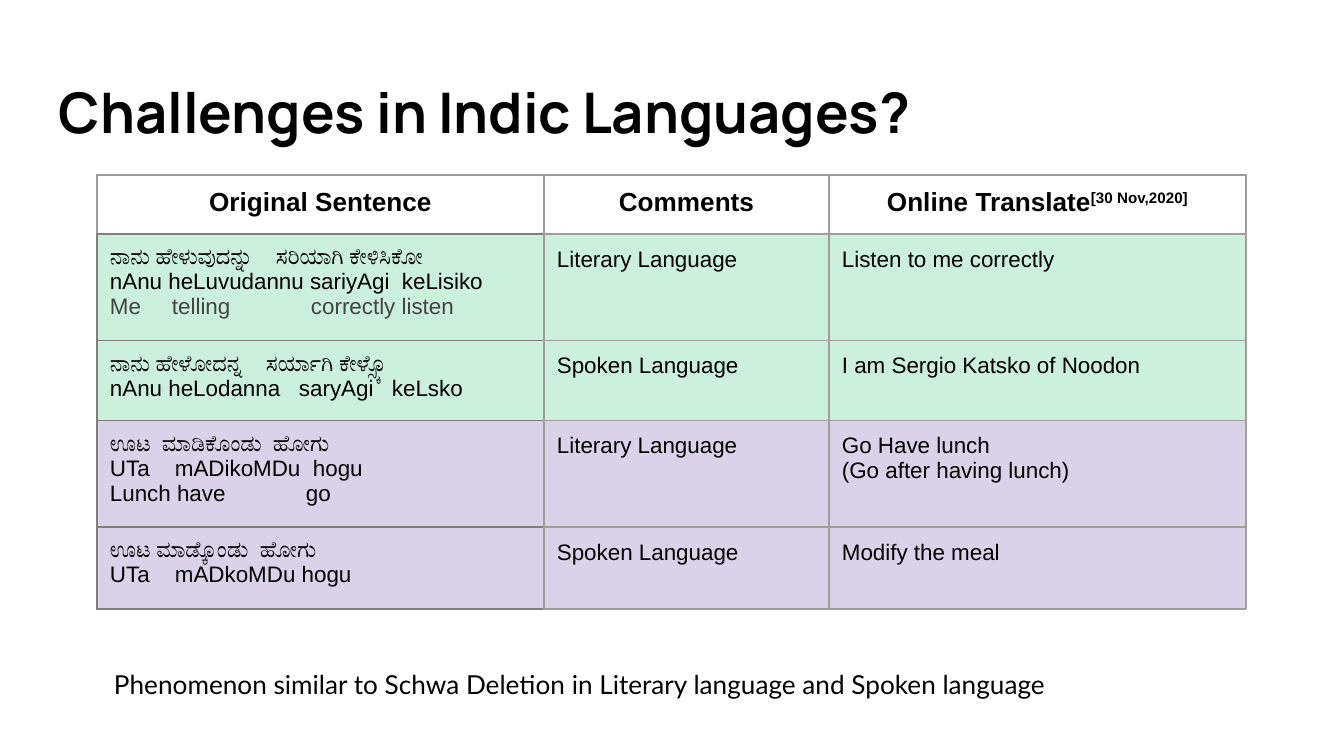
from pptx import Presentation
from pptx.dml.color import RGBColor as RGB
from pptx.enum.text import MSO_ANCHOR as ANCHOR, PP_ALIGN as ALIGN
from pptx.oxml.ns import qn
from pptx.util import Pt
from lxml.etree import SubElement

PX = 914400 / 134.4
COLORS = {"text": "000000", "gloss": "434343", "edge": "9E9E9E", "dark_edge": "7F7F7F",
          "green": "CBF0DE", "purple": "D9D2E9"}
TITLE = "Challenges in Indic Languages?"
FOOTNOTE = "Phenomenon similar to Schwa Deletion in Literary language and Spoken language"
HEADERS = [("Original Sentence", ""), ("Comments", ""), ("Online Translate", "[30 Nov,2020]")]
ROWS = [
    ("green", [("ನಾನು ಹೇಳುವುದನ್ನು\tಸರಿಯಾಗಿ ಕೇಳಿಸಿಕೋ", [166]),
               ("nAnu heLuvudannu sariyAgi\tkeLisiko", [292]),
               ("Me\ttelling\tcorrectly listen", [62, 201], "gloss")],
     "Literary Language", ["Listen to me correctly"]),
    ("green", [("ನಾನು ಹೇಳೋದನ್ನ\tಸರ್ಯಾಗಿ ಕೇಳ್ಸ್ಕೊ", [156]),
               ("nAnu heLodanna\tsaryAgi\tkeLsko", [189, 282])],
     "Spoken Language", ["I am Sergio Katsko of Noodon"]),
    ("purple", [("ಊಟ\tಮಾಡಿಕೊಂಡು\tಹೋಗು", [52, 163]),
                ("UTa\tmADikoMDu\thogu", [65, 203]),
                ("Lunch have\tgo", [196])],
     "Literary Language", ["Go Have lunch", "(Go after having lunch)"]),
    ("purple", [("ಊಟ ಮಾಡ್ಕೊಂಡು\tಹೋಗು", [150]),
                ("UTa\tmADkoMDu hogu", [65])],
     "Spoken Language", ["Modify the meal"]),
]
COL_WIDTHS = [447, 285, 417]
ROW_HEIGHTS = [59, 99, 77, 99, 82]
TABLE_LEFT, TABLE_TOP = 97, 175
MARGIN = 13
TITLE_FORMAT = {"name": "Manrope", "size": Pt(30), "bold": True}
NOTE_FORMAT = {"name": "Lato", "size": Pt(14), "bold": False}
HEADER_FORMAT = {"name": "Arial", "size": Pt(14), "bold": True}
BODY_FORMAT = {"name": "Arial", "size": Pt(12), "bold": False}


def px(n):
    return round(n * PX)


def add_run(p, text, fmt, color="text"):
    r = p.add_run()
    r.text = text
    for name, value in fmt.items():
        setattr(r.font, name, value)
    r.font.color.rgb = RGB.from_string(COLORS[color])
    return r


def set_margins(box):
    for side in ("left", "right", "top", "bottom"):
        setattr(box, f"margin_{side}", px(MARGIN))


def add_text(s, text, box, fmt, anchor):
    tf = s.shapes.add_textbox(*map(px, box)).text_frame
    tf.word_wrap = True
    tf.vertical_anchor = anchor
    set_margins(tf)
    add_run(tf.paragraphs[0], text, fmt)


def style_cell(cell, edge, fill=None):
    set_margins(cell)
    tcPr = cell._tc.get_or_add_tcPr()
    for tag in ("a:lnL", "a:lnR", "a:lnT", "a:lnB"):
        ln = SubElement(tcPr, qn(tag), w=str(Pt(0.75)))
        SubElement(SubElement(ln, qn("a:solidFill")), qn("a:srgbClr"), val=COLORS[edge])
    if fill:
        cell.fill.solid()
        cell.fill.fore_color.rgb = RGB.from_string(COLORS[fill])
    else:
        cell.fill.background()


def write_lines(tf, lines):
    for i, (text, stops, *color) in enumerate(lines):
        p = tf.add_paragraph() if i else tf.paragraphs[0]
        if stops:
            tabs = SubElement(p._p.get_or_add_pPr(), qn("a:tabLst"))
            for stop in stops:
                SubElement(tabs, qn("a:tab"), pos=str(px(stop)), algn="l")
        add_run(p, text, BODY_FORMAT, *color)


def add_sentence_table(s):
    frame = s.shapes.add_table(len(ROW_HEIGHTS), len(COL_WIDTHS), px(TABLE_LEFT), px(TABLE_TOP),
                               px(sum(COL_WIDTHS)), px(sum(ROW_HEIGHTS)))
    table = frame.table
    table.first_row = table.horz_banding = False
    for col, width in zip(table.columns, COL_WIDTHS):
        col.width = px(width)
    for row, height in zip(table.rows, ROW_HEIGHTS):
        row.height = px(height)
    for cell, (label, date) in zip(table.rows[0].cells, HEADERS):
        style_cell(cell, "edge")
        p = cell.text_frame.paragraphs[0]
        p.alignment = ALIGN.CENTER
        add_run(p, label, HEADER_FORMAT)
        if date:
            r = add_run(p, date, HEADER_FORMAT)
            r._r.get_or_add_rPr().set("baseline", "30000")
    for i, (fill, sentence, comment, translation) in enumerate(ROWS, 1):
        columns = [sentence, [(comment, [])], [(line, []) for line in translation]]
        for j, lines in enumerate(columns):
            cell = table.cell(i, j)
            style_cell(cell, "edge" if j else "dark_edge", fill)
            write_lines(cell.text_frame, lines)


def main():
    prs = Presentation()
    prs.slide_width, prs.slide_height = px(1344), px(756)
    s = prs.slides.add_slide(prs.slide_layouts[6])
    add_text(s, TITLE, (46, 66, 1252, 91), TITLE_FORMAT, ANCHOR.MIDDLE)
    add_sentence_table(s)
    add_text(s, FOOTNOTE, (101, 655, 1157, 73), NOTE_FORMAT, ANCHOR.TOP)
    prs.save("out.pptx")


if __name__ == "__main__":
    main()
